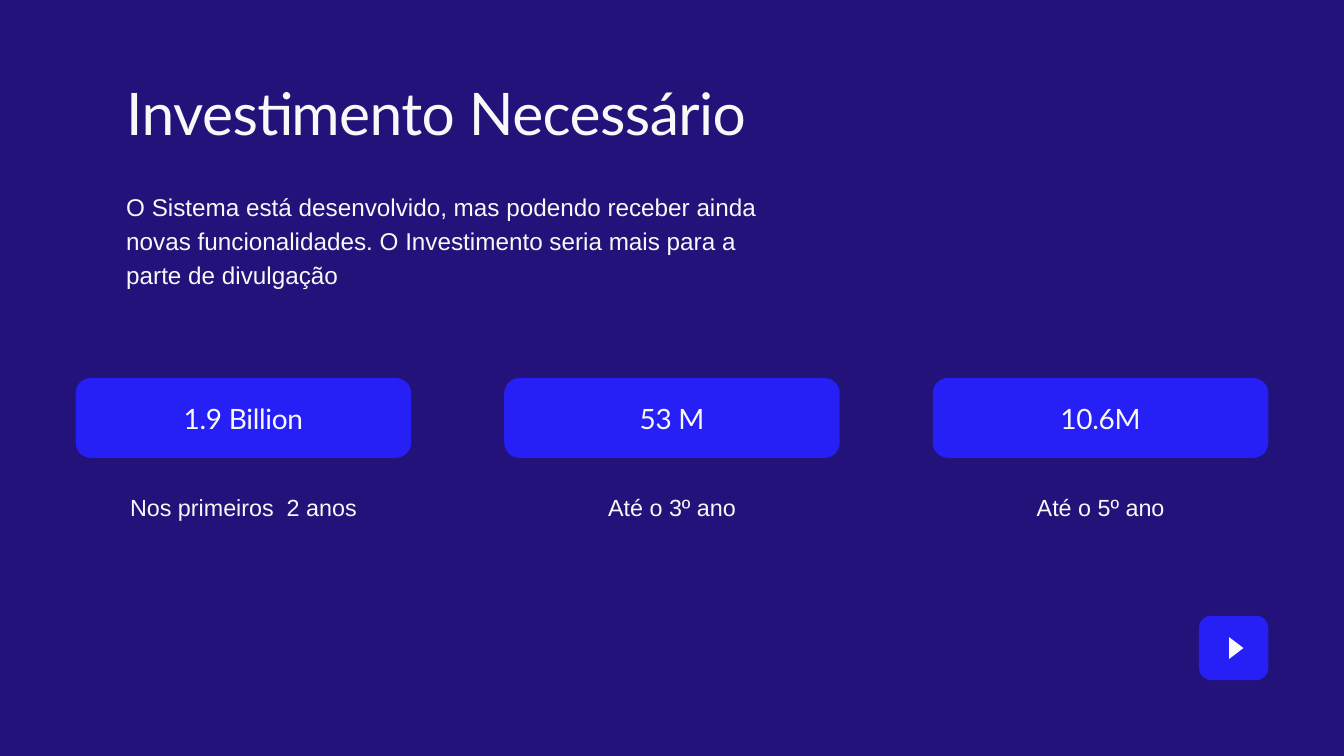
from pptx import Presentation
from pptx.dml.color import RGBColor
from pptx.enum.shapes import MSO_SHAPE as SHAPE
from pptx.enum.text import MSO_ANCHOR as ANCHOR, MSO_AUTO_SIZE as FIT, PP_ALIGN as ALIGN
from pptx.util import Cm, Pt

COLORS = {"background": "231279", "accent": "2620F6", "text": "F8F8F8"}
STAGES = [
    ("1.9 Billion", "Nos primeiros  2 anos"),
    ("53 M", "Até o 3º ano"),
    ("10.6M", "Até o 5º ano"),
]


def color(name):
    """Return the named palette colour."""
    return RGBColor.from_string(COLORS[name])


def place(sp, x, y, w, h):
    """Move and size a shape, in centimetres."""
    sp.left, sp.top, sp.width, sp.height = Cm(x), Cm(y), Cm(w), Cm(h)


def write(sp, text, font, size, leading, align=ALIGN.LEFT, tracking=0):
    """Fill a text shape with one formatted paragraph."""
    tf = sp.text_frame
    tf.word_wrap, tf.auto_size, tf.vertical_anchor = True, FIT.NONE, ANCHOR.TOP
    tf.margin_left = tf.margin_top = tf.margin_right = tf.margin_bottom = 0
    p = tf.paragraphs[0]
    p.alignment, p.line_spacing = align, Pt(leading)
    p.space_before = p.space_after = Pt(0)
    r = p.add_run()
    r.text = text
    r.font.name, r.font.size = font, Pt(size)
    r.font.color.rgb = color("text")
    if tracking:
        r.font._element.set("spc", str(tracking))
    return p


def add_label(slide, x, y, w, h, *text_style):
    """Add a centred text box."""
    sp = slide.shapes.add_textbox(Cm(x), Cm(y), Cm(w), Cm(h))
    write(sp, *text_style)


def add_block(slide, kind, fill, x, y, w, h):
    """Add a flat filled shape without outline or shadow."""
    sp = slide.shapes.add_shape(kind, Cm(x), Cm(y), Cm(w), Cm(h))
    sp.shadow.inherit = False
    sp.fill.solid()
    sp.fill.fore_color.rgb = color(fill)
    sp.line.fill.background()
    if kind == SHAPE.ROUNDED_RECTANGLE:
        sp.adjustments[0] = 0.19
    return sp


def add_heading(slide, x, y):
    """Place the title and the introduction in their placeholders."""
    title, body = slide.shapes.title, slide.placeholders[1]
    place(title, x, y, 27.48, 2.8)
    write(title, "Investimento Necessário", "Lato", 62.9, 81.8, ALIGN.LEFT, -60)
    place(body, x, y + 4.39, 24.9, 3.74)
    p = write(body, "O Sistema está desenvolvido, mas podendo receber ainda "
              "novas funcionalidades. O Investimento seria mais para a parte de divulgação",
              "Arial", 26, 36.4)
    p_pr = p._p.get_or_add_pPr()
    p_pr.set("marL", "0")
    p_pr.set("indent", "0")
    bullet = p_pr.makeelement(
        "{http://schemas.openxmlformats.org/drawingml/2006/main}buNone", {})
    p_pr.append(bullet)


def add_stage(slide, x, y, w, amount, period):
    """Draw one amount pill with its period below."""
    add_block(slide, SHAPE.ROUNDED_RECTANGLE, "accent", x, y, w, 3.02)
    add_label(slide, x + 1.27, y + 0.8, w - 2.54, 1.35,
              amount, "Lato", 30, 39, ALIGN.CENTER, -30)
    add_label(slide, x, y + 4.17, w, 1.2, period, "Arial", 25, 35, ALIGN.CENTER)


def add_stages(slide, x, y, w):
    """Spread the stages evenly over the given width."""
    pill = 12.68
    pitch = (w - pill) / (len(STAGES) - 1)
    for i, (amount, period) in enumerate(STAGES):
        add_stage(slide, x + i * pitch, y, pill, amount, period)


def add_next_button(slide, x, y, w, h):
    """Draw the button with a triangle pointing right."""
    add_block(slide, SHAPE.ROUNDED_RECTANGLE, "accent", x, y, w, h)
    arrow = add_block(slide, SHAPE.ISOSCELES_TRIANGLE, "text",
                      x + 1, y + 0.95, 0.82, 0.54)
    arrow.rotation = 90


def main():
    """Build and save the presentation."""
    prs = Presentation()
    prs.slide_width, prs.slide_height = Cm(50.8), Cm(28.58)
    slide = prs.slides.add_slide(prs.slide_layouts[1])
    slide.background.fill.solid()
    slide.background.fill.fore_color.rgb = color("background")
    add_heading(slide, 4.77, 2.69)
    add_stages(slide, 2.86, 14.29, 45.08)
    add_next_button(slide, 45.32, 23.28, 2.62, 2.43)
    prs.save("out.pptx")


if __name__ == "__main__":
    main()
